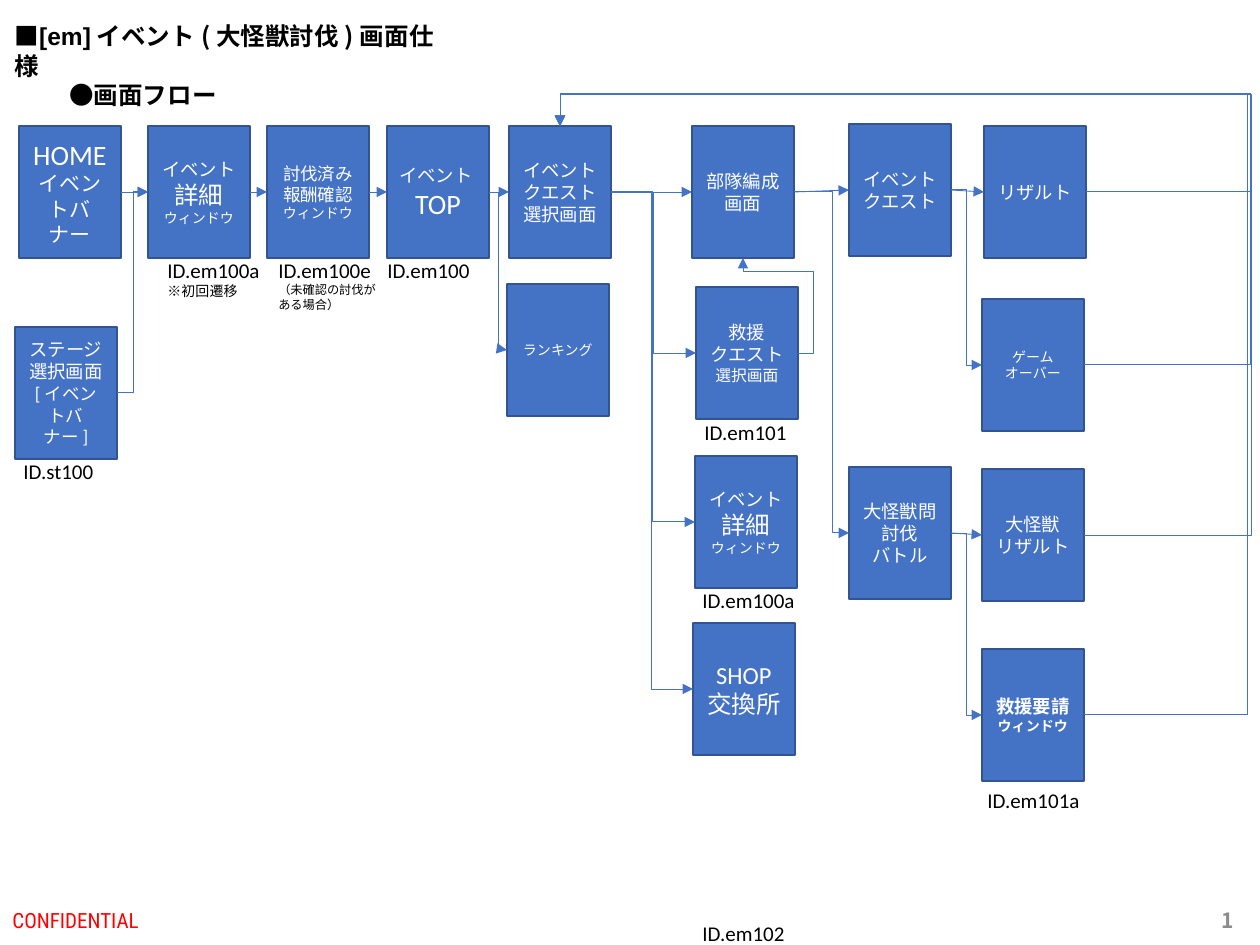
from lxml.etree import SubElement
from pptx import Presentation
from pptx.dml.color import RGBColor
from pptx.enum.shapes import MSO_CONNECTOR, MSO_SHAPE
from pptx.enum.text import MSO_ANCHOR, MSO_AUTO_SIZE, PP_ALIGN
from pptx.oxml.ns import qn
from pptx.util import Pt

PX = 7257  # EMU per px, 126 px to the inch
BLUE = RGBColor(0x44, 0x72, 0xC4)
NAVY = RGBColor(0x32, 0x54, 0x91)
WHITE = RGBColor(0xFF, 0xFF, 0xFF)
BLACK = RGBColor(0, 0, 0)
RED = RGBColor(0xFF, 0, 0)
GRAY = RGBColor(0x8C, 0x8C, 0x8C)
JAPANESE = "Noto Sans CJK JP"
BODY = "Calibri"
BOX_W, BOX_H = 102, 132
LEFT, CENTER, RIGHT = PP_ALIGN.LEFT, PP_ALIGN.CENTER, PP_ALIGN.RIGHT
TOP_SIDE, LEFT_SIDE, BOTTOM_SIDE, RIGHT_SIDE = range(4)

# Each paragraph is a list of (text, size); a leading newline is a line break
TITLE = [("■", 14, JAPANESE), ("[em]", 14, "Arial"),
         ("イベント(大怪獣討伐)画面仕様", 14, JAPANESE)]
DETAIL = [[("イベント", 10.5)], [("詳細", 14), ("\nウィンドウ", 8)]]
SCREENS = {  # key: (left, top, paragraphs)
    "home": (19, 126, [[("HOME", 16)], [("イベントバナー", 12)]]),
    "stage": (15, 327, [[("ステージ選択画面", 10.5)],
                        [("[", 10.5), ("イベントバナー", 10), ("]", 10.5)]]),
    "first_detail": (148, 126, DETAIL),
    "reward": (267, 126, [[("討伐済み報酬確認", 10), ("\nウィンドウ", 8)]]),
    "event_top": (387, 126, [[("イベント", 10.5)], [("TOP", 16)]]),
    "quest_select": (509, 126, [[("イベント", 10.5)], [("クエスト", 10.5)],
                                [("選択画面", 10.5)]]),
    "ranking": (507, 284, [[("ランキング", 8)]]),
    "squad": (692, 126, [[("部隊編成画面", 10.5)]]),
    "rescue": (696, 287, [[("救援", 10.5), ("\nクエスト", 10.5), ("\n選択画面", 9)]]),
    "detail": (695, 456, DETAIL),
    "shop": (693, 623, [[("SHOP", 14)], [("交換所", 14)]]),
    "quest": (849, 124, [[("イベント", 10.5)], [("クエスト", 10.5)]]),
    "battle": (849, 467, [[("大怪獣問討伐", 10.5)], [("バトル", 10.5)]]),
    "result": (984, 126, [[("リザルト", 10.5)]]),
    "game_over": (982, 299, [[("ゲーム", 8)], [("オーバー", 8)]]),
    "monster_result": (982, 469, [[("大怪獣", 10.5)], [("リザルト", 10.5)]]),
    "rescue_request": (982, 649, [[("救援要請", 10.5)], [("ウィンドウ", 8)]]),
}
BOLD_SCREENS = {"rescue_request"}
LEFT_FIRST_LINE = {"event_top"}

LABELS = [  # left, top, width, paragraphs
    (155, 251, 118, [[("ID.em100a", 12)], [("※初回遷移", 8)]]),
    (266, 251, 128, [[("ID.em100e", 12)], [("（未確認の討伐がある場合）", 7)]]),
    (375, 251, 118, [[("ID.em100", 12)]]),
    (11, 452, 118, [[("ID.st100", 12)]]),
    (692, 413, 118, [[("ID.em101", 12)]]),
    (690, 581, 118, [[("ID.em100a", 12)]]),
    (975, 781, 118, [[("ID.em101a", 12)]]),
    (690, 914, 118, [[("ID.em102", 12)]]),
]

STRAIGHT_FLOWS = [
    ("home", "first_detail"), ("first_detail", "reward"), ("reward", "event_top"),
    ("event_top", "quest_select"), ("quest_select", "squad"), ("squad", "quest"),
    ("quest", "result"), ("battle", "monster_result"),
]
BRANCH_FLOWS = [  # from, to, x of the vertical stretch
    ("stage", "first_detail", 133), ("event_top", "ranking", 498),
    ("quest_select", "rescue", 653), ("quest_select", "detail", 652),
    ("quest_select", "shop", 651), ("squad", "battle", 832),
    ("quest", "game_over", 966), ("battle", "rescue_request", 966),
]
RETURN_FLOWS = [  # from, to, side entered, x and y of the detour
    ("rescue", "squad", BOTTOM_SIDE, 813, 272),
    ("result", "quest_select", TOP_SIDE, 1250, 94),
    ("game_over", "quest_select", TOP_SIDE, 1250, 94),
    ("monster_result", "quest_select", TOP_SIDE, 1251, 94),
    ("rescue_request", "quest_select", TOP_SIDE, 1248, 94),
]


def px(*lengths):
    return [length * PX for length in lengths]


def write(frame, paragraphs, color, align=LEFT, anchor=MSO_ANCHOR.TOP, bold=False):
    settings = {"word_wrap": True, "auto_size": MSO_AUTO_SIZE.NONE, "vertical_anchor": anchor}
    for name, value in settings.items():
        setattr(frame, name, value)
    for index, runs in enumerate(paragraphs):
        paragraph = frame.add_paragraph() if index else frame.paragraphs[0]
        paragraph.alignment = align
        for text, size, *face in runs:
            if text.startswith("\n"):
                paragraph.add_line_break()
            run = paragraph.add_run()
            run.text = text.strip("\n")
            style = {"size": Pt(size), "bold": bold, "name": face[0] if face else BODY}
            for name, value in style.items():
                setattr(run.font, name, value)
            run.font.color.rgb = color
            latin = run.font._element.find(qn("a:latin"))
            east_asian = latin.makeelement(qn("a:ea"), {"typeface": JAPANESE})
            latin.addnext(east_asian)


def add_text(slide, place, paragraphs, color, **style):
    write(slide.shapes.add_textbox(*px(*place)).text_frame, paragraphs, color, **style)


def add_screen(slide, key, left, top, paragraphs):
    screen = slide.shapes.add_shape(MSO_SHAPE.RECTANGLE, *px(left, top, BOX_W, BOX_H))
    screen.shadow.inherit = False
    screen.fill.solid()
    screen.fill.fore_color.rgb = BLUE
    screen.line.color.rgb = NAVY
    screen.line.width = Pt(1)
    write(screen.text_frame, paragraphs, WHITE, CENTER, MSO_ANCHOR.MIDDLE, key in BOLD_SCREENS)
    if key in LEFT_FIRST_LINE:
        screen.text_frame.paragraphs[0].alignment = LEFT
    return screen


def side_point(key, side):
    left, top, _ = SCREENS[key]
    across, down = [(0.5, 0), (0, 0.5), (0.5, 1), (1, 0.5)][side]
    return left + BOX_W * across, top + BOX_H * down


def add_flow(slide, screens, source, target, side=LEFT_SIDE, lane_x=None, lane_y=None):
    x1, y1 = side_point(source, RIGHT_SIDE)
    x2, y2 = side_point(target, side)
    kind = MSO_CONNECTOR.ELBOW if lane_x else MSO_CONNECTOR.STRAIGHT
    flow = slide.shapes.add_connector(kind, *[round(v) for v in px(x1, y1, x2, y2)])
    flow.begin_connect(screens[source], RIGHT_SIDE)
    flow.end_connect(screens[target], side)
    flow.line.color.rgb = BLUE
    flow.line.width = Pt(0.5)
    properties = flow.element.spPr
    SubElement(properties.find(qn("a:ln")), qn("a:tailEnd"), type="triangle")
    SubElement(properties, qn("a:effectLst"))
    if lane_x is None:
        return
    # Bend positions are shares of the connector's width and height
    bends = [(lane_x - x1) / (x2 - x1)]
    if lane_y is not None:
        bends.append((lane_y - y1) / (y2 - y1))
    geometry = properties.find(qn("a:prstGeom"))
    geometry.set("prst", f"bentConnector{len(bends) + 2}")
    guides = geometry.find(qn("a:avLst"))
    if guides is None:
        guides = SubElement(geometry, qn("a:avLst"))
    for number, bend in enumerate(bends, 1):
        SubElement(guides, qn("a:gd"), name=f"adj{number}", fmla=f"val {round(bend * 100000)}")


def main():
    deck = Presentation()
    deck.slide_width, deck.slide_height = px(1260, 945)
    slide = deck.slides.add_slide(deck.slide_layouts[5])

    # Headings
    title = slide.shapes.title
    title.left, title.top, title.width, title.height = px(2, 15, 461, 43)
    write(title.text_frame, [TITLE], BLACK, bold=True)
    add_text(slide, (57, 74, 174, 43), [[("●画面フロー", 14, "League Spartan")]], BLACK, bold=True)

    # Screens and the flows between them
    screens = {key: add_screen(slide, key, *screen) for key, screen in SCREENS.items()}
    for source, target in STRAIGHT_FLOWS:
        add_flow(slide, screens, source, target)
    for source, target, lane_x in BRANCH_FLOWS:
        add_flow(slide, screens, source, target, lane_x=lane_x)
    for flow in RETURN_FLOWS:
        add_flow(slide, screens, *flow)

    # Screen IDs
    for left, top, width, paragraphs in LABELS:
        add_text(slide, (left, top, width, 38), paragraphs, BLACK)

    # Footer
    add_text(slide, (0, 895, 426, 50), [[("CONFIDENTIAL", 12, "Roboto Condensed")]], RED,
             anchor=MSO_ANCHOR.MIDDLE)
    add_text(slide, (963, 895, 283, 50), [[("1", 12, JAPANESE)]], GRAY,
             align=RIGHT, anchor=MSO_ANCHOR.MIDDLE, bold=True)
    deck.save("out.pptx")


if __name__ == "__main__":
    main()
